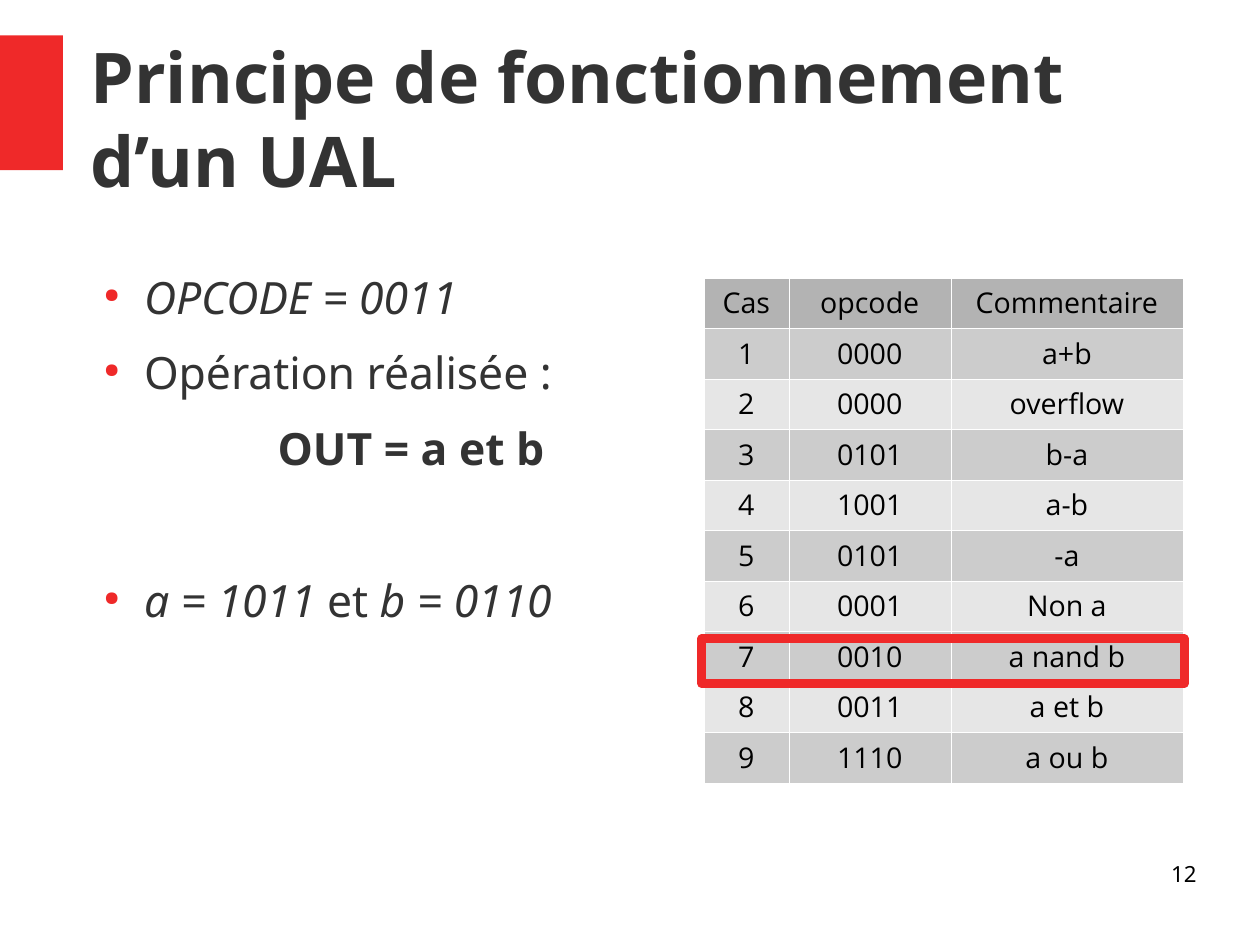
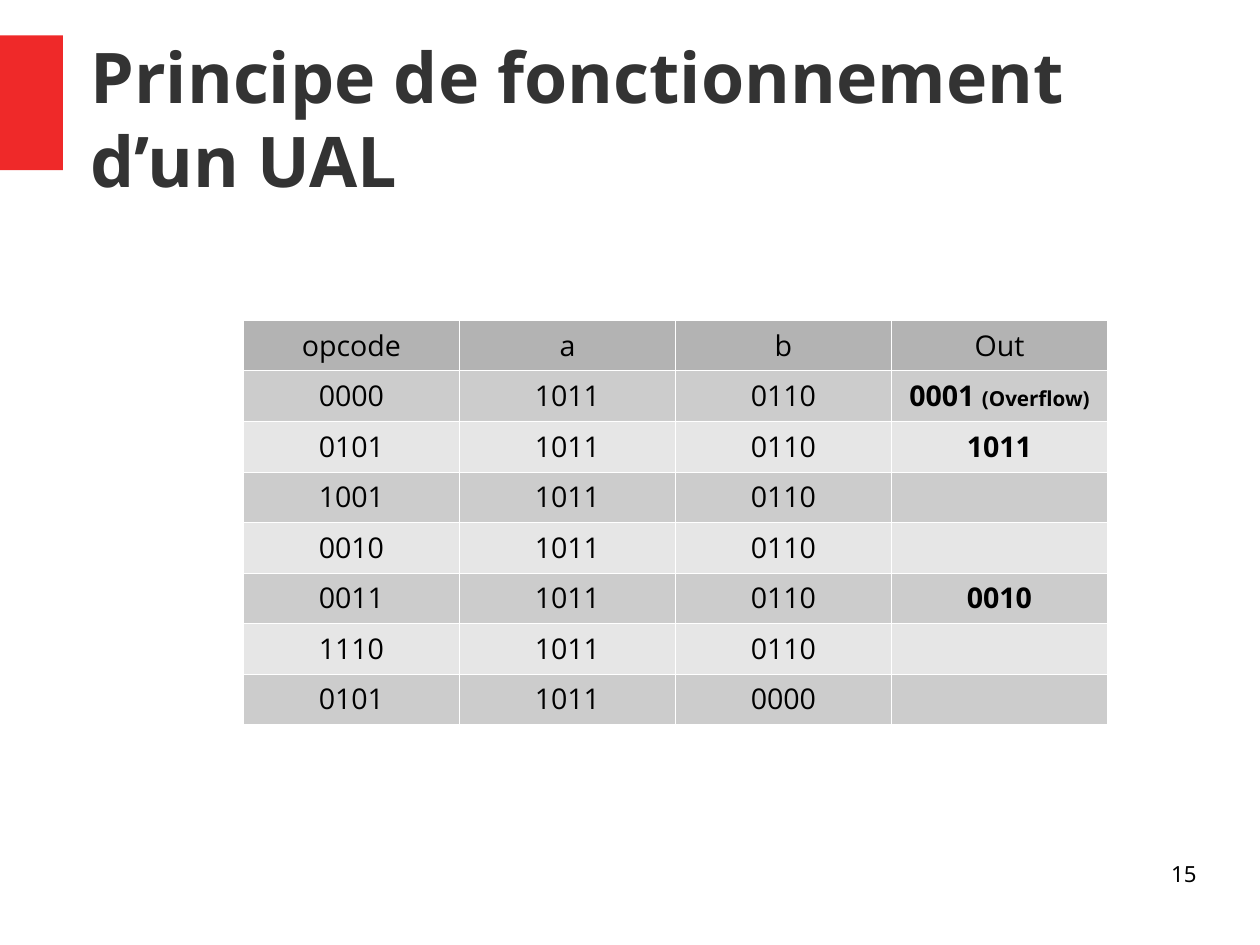
from dataclasses import dataclass

from lxml import etree
from pptx import Presentation
from pptx.dml.color import RGBColor
from pptx.enum import shapes, text
from pptx.oxml import ns
from pptx.util import Inches, Pt


@dataclass(frozen=True)
class Theme:
    red: RGBColor = RGBColor.from_string("EF2929")
    ink: RGBColor = RGBColor.from_string("333333")
    black: RGBColor = RGBColor.from_string("000000")
    white: RGBColor = RGBColor.from_string("FFFFFF")
    header: RGBColor = RGBColor.from_string("B3B3B3")
    odd_row: RGBColor = RGBColor.from_string("CCCCCC")
    even_row: RGBColor = RGBColor.from_string("E6E6E6")
    font: str = "Noto Sans"
    table_font: str = "Open Sans"
    bullet_font: str = "OpenSymbol"
    title_size: int = 44
    body_size: int = 28
    table_size: int = 18
    number_size: int = 14
    remark_size: int = 13


theme = Theme()


def style_text(paragraph, size, color, name=theme.font, bold=False):
    font = paragraph.font
    font.name, font.size, font.bold = name, Pt(size), bold
    font.color.rgb = color


def add_grid(slide, left, top, height, widths, rows):
    frame = slide.shapes.add_table(
        len(rows), len(widths), Inches(left), Inches(top),
        Inches(sum(widths)), Inches(height))
    table = frame.table
    table.first_row = table.horz_banding = False
    for column, width in zip(table.columns, widths):
        column.width = Inches(width)
    for row_index, values in enumerate(rows):
        table.rows[row_index].height = Inches(height / len(rows))
        if row_index == 0:
            color = theme.header
        else:
            color = theme.odd_row if row_index % 2 else theme.even_row
        for column_index, value in enumerate(values):
            cell = table.cell(row_index, column_index)
            properties = cell._tc.get_or_add_tcPr()
            for side in ("a:lnL", "a:lnR", "a:lnT", "a:lnB"):
                border = etree.SubElement(properties, ns.qn(side), w=str(Pt(0.06)))
                fill = etree.SubElement(border, ns.qn("a:solidFill"))
                etree.SubElement(fill, ns.qn("a:srgbClr"), val=str(theme.white))
            cell.fill.solid()
            cell.fill.fore_color.rgb = color
            cell.text = value
            paragraph = cell.text_frame.paragraphs[0]
            paragraph.alignment = text.PP_ALIGN.CENTER
            bold = row_index > 0 and rows[0][column_index] == "Out"
            style_text(paragraph, theme.table_size, theme.black, theme.table_font, bold)
    return table


presentation = Presentation()
presentation.slide_width = Inches(28 / 2.54)
presentation.slide_height = Inches(21 / 2.54)
presentation.element.find(ns.qn("p:sldSz")).attrib.pop("type", None)
title_only = presentation.slide_layouts[5]

slides = []
for number in ("12", "15"):
    slide = presentation.slides.add_slide(title_only)
    slides.append(slide)

    band = slide.shapes.add_shape(
        shapes.MSO_SHAPE.RECTANGLE, 0, Inches(0.31), Inches(0.55), Inches(1.18))
    band.shadow.inherit = False
    band.fill.solid()
    band.fill.fore_color.rgb = theme.red
    band.line.fill.background()

    title = slide.shapes.title
    title.left, title.top = Inches(0.79), Inches(0.19)
    title.width, title.height = Inches(9.68), Inches(1.67)
    title.text = "Principe de fonctionnement d’un UAL"
    title.text_frame.vertical_anchor = text.MSO_ANCHOR.MIDDLE
    title.text_frame.auto_size = text.MSO_AUTO_SIZE.NONE
    title.text_frame.paragraphs[0].alignment = text.PP_ALIGN.LEFT
    style_text(title.text_frame.paragraphs[0], theme.title_size, theme.ink, bold=True)

    page_number = slide.shapes.add_textbox(
        Inches(7.9), Inches(7.53), Inches(2.57), Inches(0.57))
    page_number.text_frame.text = number
    page_number.text_frame.paragraphs[0].alignment = text.PP_ALIGN.RIGHT
    style_text(page_number.text_frame.paragraphs[0], theme.number_size, theme.black)

    for shape in (title, page_number):
        frame = shape.text_frame
        frame.word_wrap = True
        frame.margin_left = frame.margin_right = frame.margin_top = frame.margin_bottom = 0

operation_slide, results_slide = slides

body = operation_slide.shapes.add_textbox(
    Inches(0.79), Inches(2.36), Inches(5.04), Inches(4.8))
frame = body.text_frame
frame.word_wrap = True
frame.margin_left = frame.margin_right = frame.margin_top = frame.margin_bottom = 0

body_lines = [
    ("bullet", [("OPCODE = 0011", True)]),
    ("bullet", [("Opération réalisée :", False)]),
    ("result", [("OUT = a et b", False)]),
    ("bullet", [("a = 1011", True), (" et ", False), ("b = 0110", True)]),
]
for index, (kind, runs) in enumerate(body_lines):
    paragraph = frame.paragraphs[0] if index == 0 else frame.add_paragraph()
    paragraph.space_after = Pt(14.1)
    properties = paragraph._p.get_or_add_pPr()
    if kind == "bullet":
        properties.set("marL", str(Inches(0.47)))
        properties.set("indent", str(Inches(-0.35)))
        color = etree.SubElement(properties, ns.qn("a:buClr"))
        etree.SubElement(color, ns.qn("a:srgbClr"), val=str(theme.red))
        etree.SubElement(properties, ns.qn("a:buSzPct"), val="45000")
        etree.SubElement(properties, ns.qn("a:buFont"), typeface=theme.bullet_font)
        etree.SubElement(properties, ns.qn("a:buChar"), char="●")
    else:
        properties.set("marL", str(Inches(0.57)))
        paragraph.alignment = text.PP_ALIGN.CENTER
    style_text(paragraph, theme.body_size, theme.ink, bold=kind == "result")
    for words, italic in runs:
        run = paragraph.add_run()
        run.text = words
        run.font.italic = italic
frame.paragraphs[-1].space_before = Pt(47.8)

add_grid(operation_slide, 6.16, 2.43, 4.42, [0.74, 1.42, 2.03], [
    ("Cas", "opcode", "Commentaire"),
    ("1", "0000", "a+b"),
    ("2", "0000", "overflow"),
    ("3", "0101", "b-a"),
    ("4", "1001", "a-b"),
    ("5", "0101", "-a"),
    ("6", "0001", "Non a"),
    ("7", "0010", "a nand b"),
    ("8", "0011", "a et b"),
    ("9", "1110", "a ou b"),
])

highlight = operation_slide.shapes.add_shape(
    shapes.MSO_SHAPE.RECTANGLE, Inches(6.14), Inches(5.59), Inches(4.22), Inches(0.39))
highlight.shadow.inherit = False
highlight.fill.background()
highlight.line.color.rgb = theme.red
highlight.line.width = Pt(5.67)
etree.SubElement(highlight.line._get_or_add_ln(), ns.qn("a:round"))

results = add_grid(results_slide, 2.13, 2.8, 3.54, [1.89] * 4, [
    ("opcode", "a", "b", "Out"),
    ("0000", "1011", "0110", "0001 "),
    ("0101", "1011", "0110", "1011"),
    ("1001", "1011", "0110", ""),
    ("0010", "1011", "0110", ""),
    ("0011", "1011", "0110", "0010"),
    ("1110", "1011", "0110", ""),
    ("0101", "1011", "0000", ""),
])
remark = results.cell(1, 3).text_frame.paragraphs[0].add_run()
remark.text = "(Overflow)"
remark.font.size = Pt(theme.remark_size)

presentation.save("out.pptx")
